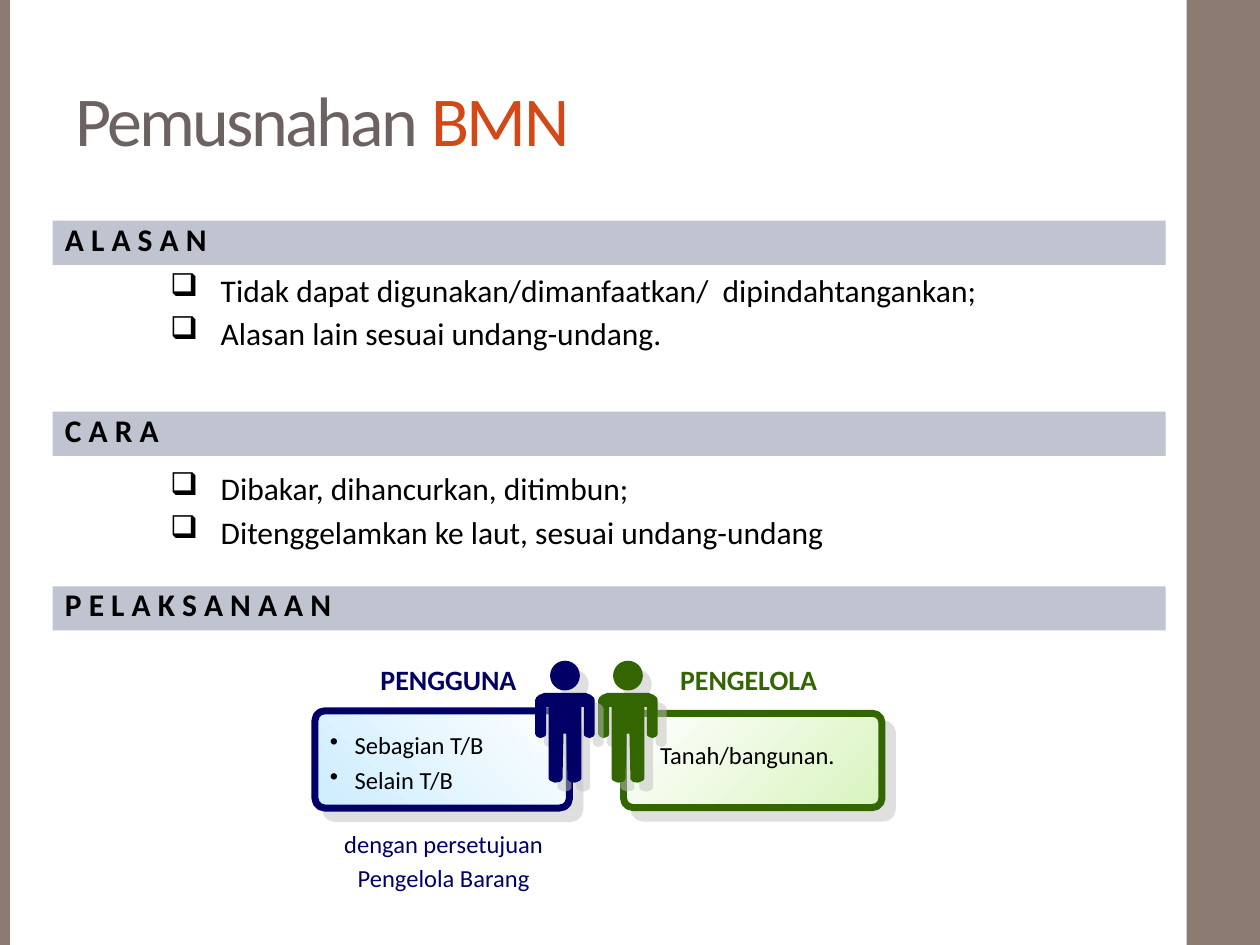
from lxml import etree
from pptx import Presentation
from pptx.dml.color import RGBColor
from pptx.enum.shapes import MSO_SHAPE
from pptx.enum.text import MSO_ANCHOR, MSO_AUTO_SIZE, PP_ALIGN
from pptx.oxml import parse_xml
from pptx.oxml.ns import qn
from pptx.util import Cm, Pt

RECT, ROUNDED, OVAL = MSO_SHAPE.RECTANGLE, MSO_SHAPE.ROUNDED_RECTANGLE, MSO_SHAPE.OVAL
LEFT, CENTER = PP_ALIGN.LEFT, PP_ALIGN.CENTER
TOP, MIDDLE = MSO_ANCHOR.TOP, MSO_ANCHOR.MIDDLE
GROW = MSO_AUTO_SIZE.SHAPE_TO_FIT_TEXT
A_NS = "http://schemas.openxmlformats.org/drawingml/2006/main"
BROWN, BAND, BLACK, NAVY, GREEN = "8C7B70", "C0C3D0", "000000", "000066", "336600"
rgb = RGBColor.from_string


def write(tf, lines, size, color, bold=False, bullet=None, indent=0, after=0, align=LEFT):
    """Fill a text frame, one paragraph a line; indent is the hanging indent in cm."""
    for i, line in enumerate(lines):
        p = tf.paragraphs[0] if i == 0 else tf.add_paragraph()
        if bullet:
            pPr = p._p.get_or_add_pPr()
            pPr.set("marL", str(Cm(indent)))
            pPr.set("indent", str(-Cm(indent)))
            etree.SubElement(pPr, qn("a:buChar")).set("char", bullet)
        p.alignment = align
        p.space_after = Pt(after)
        r = p.add_run()
        r.text = line
        for name, value in {"name": "Calibri", "size": Pt(size), "bold": bold}.items():
            setattr(r.font, name, value)
        r.font.color.rgb = rgb(color)


def add_shadow(s, distance):
    """Give a shape a hard grey shadow to the lower right, distance in points."""
    s._element.spPr.append(parse_xml(
        f'<a:effectLst xmlns:a="{A_NS}"><a:outerShdw dist="{Pt(distance)}" dir="2700000" '
        'algn="ctr" rotWithShape="0"><a:srgbClr val="C0C0C0"><a:alpha val="50000"/>'
        '</a:srgbClr></a:outerShdw></a:effectLst>'))


prs = Presentation()
prs.slide_width, prs.slide_height = Cm(25.4), Cm(19.05)
shapes = prs.slides.add_slide(prs.slide_layouts[6]).shapes

# Side bars and section bands
bars = [
    (23.92, 0, 1.48, 19.05, BROWN, None),
    (0, 0, 0.2, 19.05, BROWN, None),
    (1.06, 4.45, 22.44, 0.89, BAND, "A L A S A N"),
    (1.06, 8.3, 22.44, 0.89, BAND, "C A R A"),
    (1.06, 11.82, 22.44, 0.89, BAND, "P E L A K S A N A A N"),
]
for x, y, w, h, color, heading in bars:
    s = shapes.add_shape(RECT, Cm(x), Cm(y), Cm(w), Cm(h))
    s.shadow.inherit = False
    s.fill.solid()
    s.fill.fore_color.rgb = rgb(color)
    s.line.fill.background()
    if heading:
        s.text_frame.vertical_anchor = TOP
        write(s.text_frame, [heading], 18, BLACK, bold=True)
        s.text_frame.paragraphs[0].line_spacing = 0.8

# Title in two colours
tf = shapes.add_textbox(Cm(1.27), Cm(0.59), Cm(22.86), Cm(3.6)).text_frame
tf.word_wrap = True
tf.vertical_anchor = MIDDLE
write(tf, ["Pemusnahan "], 40, "6C6262")
p = tf.paragraphs[0]
r = p.add_run()
r.text = "BMN"
r.font.name, r.font.size = "Calibri", Pt(40)
r.font.color.rgb = rgb("D34817")
for r in p.runs:
    r._r.get_or_add_rPr().set("spc", "-150")

# Boxes of the two roles, each with a figure beside it
roles = [
    {"color": GREEN, "box": (12.57, 14.38, 5.21, 1.9), "stops": ("FFFFFF", "D8F4BE"),
     "angle": 315, "center": 12.66},
    {"color": NAVY, "box": (6.35, 14.33, 5.13, 1.96), "stops": ("CCECFF", "FFFFFF"),
     "angle": 45, "center": 11.39},
]
body_top, head_top, head_size = 13.97, 13.32, 0.6
# Right half of the body, as distances from its axis and from its top
half_body = [
    (0.42, 0), (0.52, 0.04), (0.58, 0.09), (0.6, 0.14), (0.6, 0.83), (0.57, 0.88),
    (0.5, 0.91), (0.43, 0.89), (0.39, 0.86), (0.38, 0.82), (0.38, 0.28), (0.33, 0.28),
    (0.33, 1.73), (0.3, 1.77), (0.2, 1.81), (0.1, 1.79), (0.05, 1.74), (0.03, 0.82),
]
outline = half_body + [(-x, y) for x, y in reversed(half_body)]
for role in roles:
    color, center = rgb(role["color"]), role["center"]
    s = shapes.add_shape(ROUNDED, *map(Cm, role["box"]))
    s.adjustments[0] = 0.1
    s.fill.gradient()
    s.fill.gradient_angle = role["angle"]
    for stop, stop_color in zip(s.fill.gradient_stops, role["stops"]):
        stop.color.rgb = rgb(stop_color)
    s.line.color.rgb = color
    s.line.width = Pt(4)
    add_shadow(s, 8.5)

    head = shapes.add_shape(OVAL, Cm(center - head_size / 2), Cm(head_top),
                            Cm(head_size), Cm(head_size))
    points = [(Cm(center + x), Cm(body_top + y)) for x, y in outline]
    builder = shapes.build_freeform(*points[0])
    builder.add_line_segments(points[1:], close=True)
    for s in (head, builder.convert_to_shape()):
        s.fill.solid()
        s.fill.fore_color.rgb = color
        s.line.fill.background()
        add_shadow(s, 7.2)

# Lists, role labels and notes
check = {"size": 18, "color": BLACK, "bullet": "❑", "indent": 1.02, "after": 3}
label = {"size": 16, "bold": True}
texts = [
    (3.18, 5.33, 19.88, 1.9, True, check,
     ["Tidak dapat digunakan/dimanfaatkan/  dipindahtangankan;",
      "Alasan lain sesuai undang-undang."]),
    (3.18, 9.34, 17.14, 1.9, True, check,
     ["Dibakar, dihancurkan, ditimbun;", "Ditenggelamkan ke laut, sesuai undang-undang"]),
    (13.06, 14.8, 4.44, 0.86, True, {"size": 14, "color": BLACK}, ["Tanah/bangunan."]),
    (13.46, 13.23, 3.3, 0.94, False, {**label, "color": GREEN}, ["PENGELOLA"]),
    (6.4, 14.6, 5.08, 1.55, True,
     {"size": 14, "color": BLACK, "bullet": "•", "indent": 0.5, "after": 3},
     ["Sebagian T/B", "Selain T/B"]),
    (7.42, 13.23, 3.3, 0.94, False, {**label, "color": NAVY}, ["PENGGUNA"]),
    (6.66, 16.58, 4.57, 1.55, False,
     {"size": 14, "color": NAVY, "after": 3, "align": CENTER},
     ["dengan persetujuan", "Pengelola Barang"]),
]
for x, y, w, h, wrap, style, lines in texts:
    tf = shapes.add_textbox(Cm(x), Cm(y), Cm(w), Cm(h)).text_frame
    tf.word_wrap = wrap
    tf.auto_size = GROW
    write(tf, lines, **style)

prs.save("out.pptx")
